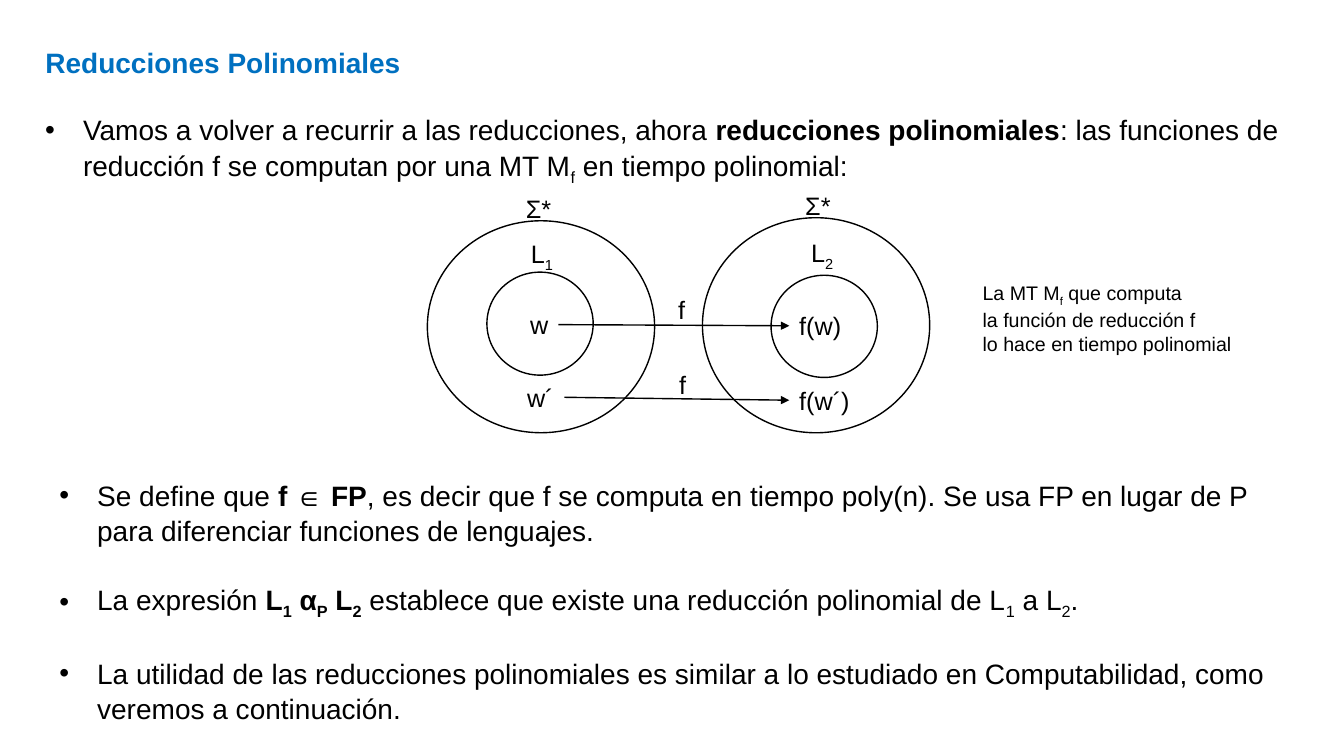
import pptx
import pptx.dml.color
import pptx.enum.shapes
import pptx.enum.text
import pptx.oxml
import pptx.oxml.ns
import pptx.util

Pt = pptx.util.Pt
SHAPES = pptx.enum.shapes.MSO_SHAPE
TEXT = pptx.enum.text
BLACK = "000000"


def color(hex_value):
    return pptx.dml.color.RGBColor.from_string(hex_value)


def write(frame, paragraphs, size, hex_value=BLACK, bullets=False, **frame_format):
    """Runs are (text, marks); marks: b = bold, s = subscript."""
    for name, value in frame_format.items():
        setattr(frame, name, value)
    for index, runs in enumerate(paragraphs):
        paragraph = frame.paragraphs[0] if index == 0 else frame.add_paragraph()
        paragraph.alignment = TEXT.PP_ALIGN.LEFT
        if size == 20:
            paragraph.line_spacing = 1.05
        if bullets:
            paragraph.space_before = Pt(24 if index else 0)
            properties = paragraph._p.get_or_add_pPr()
            properties.set("marL", str(Pt(27)))
            properties.set("indent", str(-Pt(27)))
            for tag, key, value in (("a:buFont", "typeface", "Arial"), ("a:buChar", "char", "•")):
                bullet = pptx.oxml.parse_xml(f"<{tag} {pptx.oxml.ns.nsdecls('a')} {key}='{value}'/>")
                properties.append(bullet)
        for text, marks in runs:
            run = paragraph.add_run()
            run.text = text
            font_format = {"name": "Arial", "size": Pt(size), "bold": "b" in marks}
            for name, value in font_format.items():
                setattr(run.font, name, value)
            run.font.color.rgb = color(hex_value)
            if "s" in marks:
                run._r.get_or_add_rPr().set("baseline", "-25000")


deck = pptx.Presentation()
deck.slide_width, deck.slide_height = Pt(960), Pt(540)
slide = deck.slides.add_slide(deck.slide_layouts[5])

# Title
title = slide.shapes.title
title.left, title.top, title.width, title.height = Pt(25.2), Pt(27.4), Pt(904), Pt(32)
write(title.text_frame, [[("Reducciones Polinomiales", "b")]], 20, "0070C0",
      word_wrap=True, auto_size=TEXT.MSO_AUTO_SIZE.NONE,
      vertical_anchor=TEXT.MSO_ANCHOR.TOP)

# Bulleted explanations above and below the diagram
introduction = [
    [("Vamos a volver a recurrir a las reducciones, ahora ", ""),
     ("reducciones polinomiales", "b"),
     (": las funciones de reducción f se computan por una MT M", ""),
     ("f", "s"), (" en tiempo polinomial:", "")],
]
definitions = [
    [("Se define que ", ""), ("f ∈ FP", "b"),
     (", es decir que f se computa en tiempo poly(n). Se usa FP en lugar de P "
      "para diferenciar funciones de lenguajes.", "")],
    [("La expresión ", ""), ("L", "b"), ("1", "bs"), (" α", "b"), ("P", "bs"),
     (" L", "b"), ("2", "bs"),
     (" establece que existe una reducción polinomial de L", ""), ("1", "s"),
     (" a L", ""), ("2", "s"), (".", "")],
    [("La utilidad de las reducciones polinomiales es similar a lo estudiado en "
      "Computabilidad, como veremos a continuación.", "")],
]
for paragraphs, (left, top, width, height) in (
    (introduction, (25.2, 75.7, 904, 56)),
    (definitions, (35.3, 337, 877, 201)),
):
    explanation = slide.shapes.add_textbox(Pt(left), Pt(top), Pt(width), Pt(height))
    write(explanation.text_frame, paragraphs, 20, bullets=True, word_wrap=True)

# Languages inside their universes
for left, top, width, height in (
    (347.8, 194.4, 75.9, 73.6),
    (550.8, 196.6, 75.9, 73),
    (305.3, 157.7, 162.3, 151.4),
    (501.8, 155.5, 162.3, 153.6),
):
    language = slide.shapes.add_shape(SHAPES.FLOWCHART_CONNECTOR,
                                      Pt(left), Pt(top), Pt(width), Pt(height))
    language.shadow.inherit = False
    language.fill.background()
    language.line.color.rgb = color(BLACK)
    language.line.width = Pt(1)

# Labels of the diagram
labels = {}
for key, runs, left, top, width in (
    ("universe 1", [("Ʃ*", "")], 368.6, 134.6, 33.1),
    ("universe 2", [("Ʃ*", "")], 568.1, 132.5, 33.1),
    ("L1", [("L", ""), ("1", "s")], 372.2, 167, 31.7),
    ("L2", [("L", ""), ("2", "s")], 572.4, 166.3, 31.7),
    ("w", [("w", "")], 371.5, 217.4, 27.4),
    ("w´", [("w´", "")], 369.4, 269.3, 33.8),
    ("f(w)", [("f(w)", "")], 563.8, 218.2, 44.6),
    ("f(w´)", [("f(w´)", "")], 563.8, 271.4, 51.1),
    ("f above", [("f", "")], 477.4, 206.6, 19.4),
    ("f below", [("f", "")], 478.1, 260.6, 19.4),
):
    labels[key] = slide.shapes.add_textbox(Pt(left), Pt(top), Pt(width), Pt(29))
    write(labels[key].text_frame, [runs], 18, word_wrap=False,
          auto_size=TEXT.MSO_AUTO_SIZE.SHAPE_TO_FIT_TEXT)

# Arrows from each word to its image under f
for word, image in (("w", "f(w)"), ("w´", "f(w´)")):
    mapping = slide.shapes.add_connector(pptx.enum.shapes.MSO_CONNECTOR.STRAIGHT, 0, 0, 0, 0)
    mapping.begin_connect(labels[word], 3)
    mapping.end_connect(labels[image], 1)
    mapping.line.color.rgb = color(BLACK)
    mapping.line.width = Pt(1)
    namespace = pptx.oxml.ns.nsdecls("a")
    mapping.line._get_or_add_ln().append(
        pptx.oxml.parse_xml(f"<a:tailEnd {namespace} type='triangle'/>"))
    mapping._element.spPr.append(pptx.oxml.parse_xml(f"<a:effectLst {namespace}/>"))

# Side remark
remark = slide.shapes.add_textbox(Pt(694.8), Pt(197.3), Pt(197.3), Pt(58.3))
write(remark.text_frame, [
    [("La MT M", ""), ("f", "s"), (" que computa", "")],
    [("la función de reducción f", "")],
    [("lo hace en tiempo polinomial", "")],
], 14, word_wrap=False, auto_size=TEXT.MSO_AUTO_SIZE.SHAPE_TO_FIT_TEXT)

deck.save("out.pptx")
